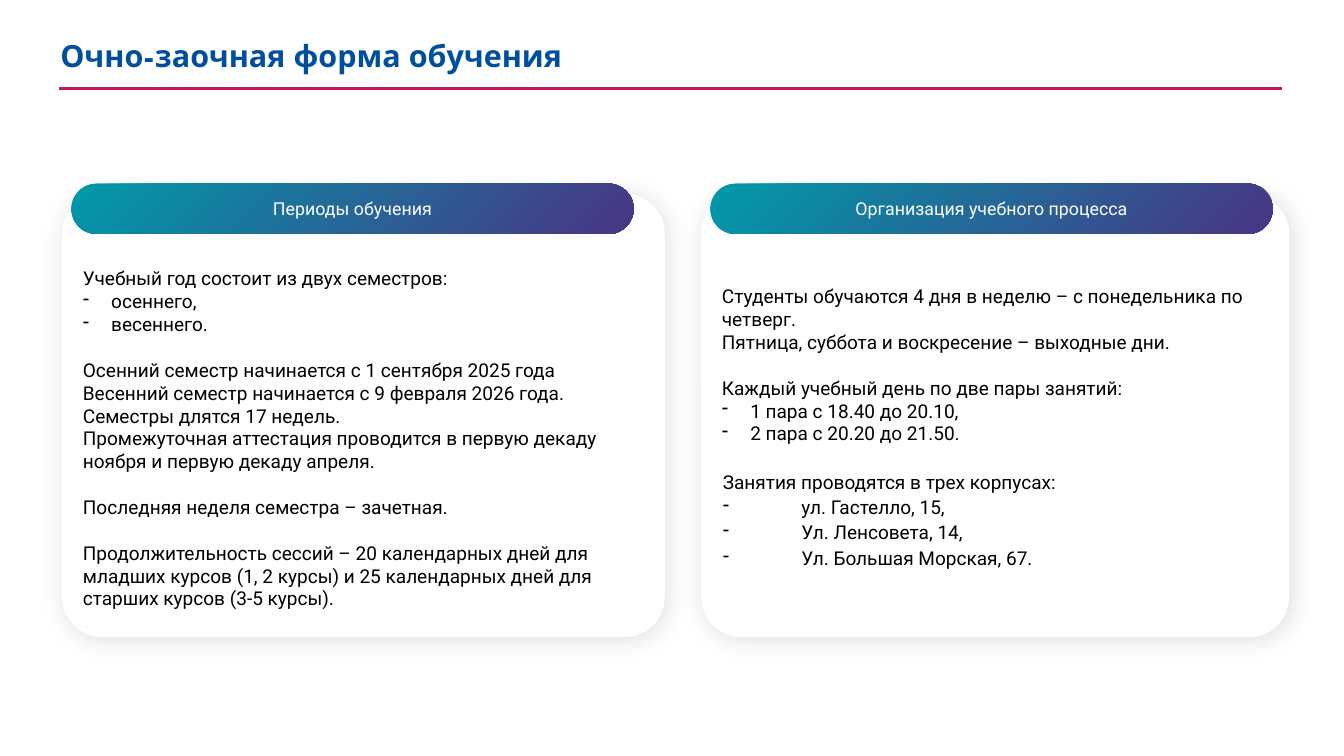
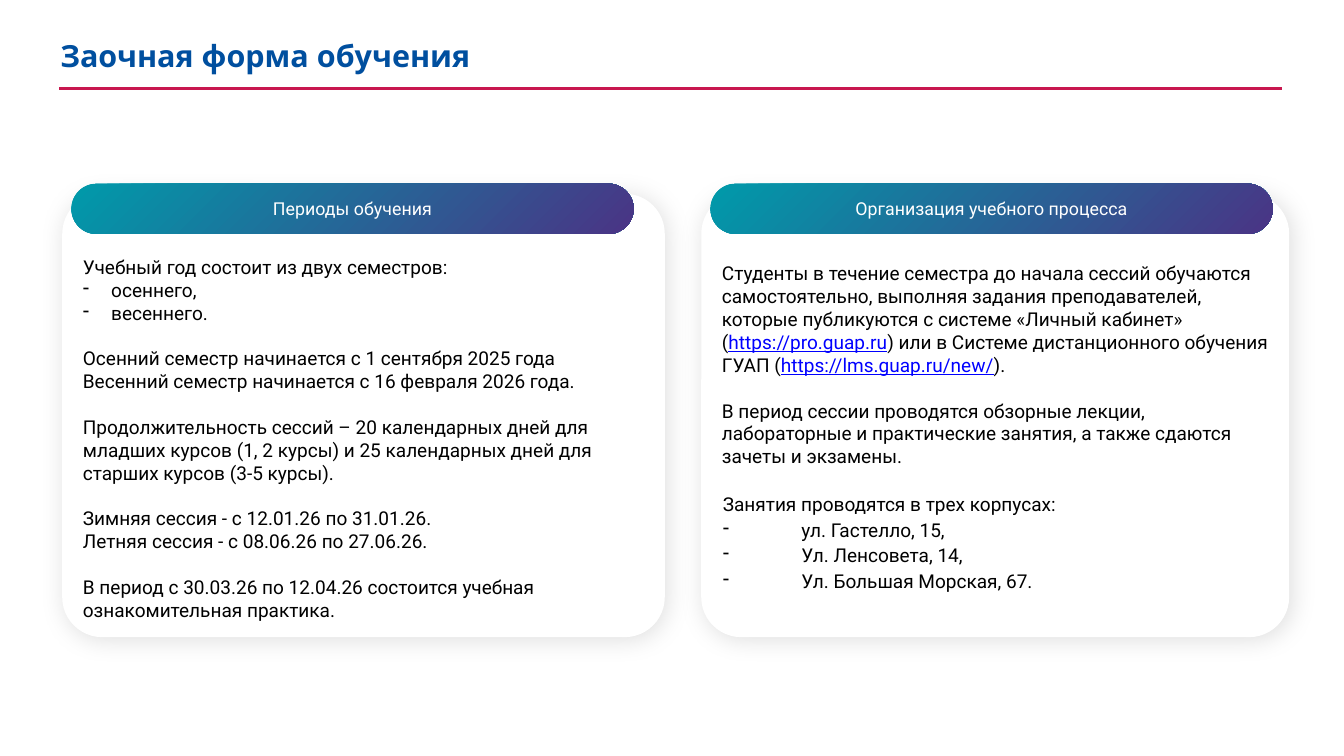
from typing import NamedTuple

from lxml import etree
from pptx import Presentation
from pptx.dml.color import RGBColor
from pptx.enum.shapes import MSO_CONNECTOR, MSO_SHAPE
from pptx.enum.text import MSO_ANCHOR, PP_ALIGN
from pptx.oxml.ns import qn
from pptx.util import Inches, Pt

ROUNDED = MSO_SHAPE.ROUNDED_RECTANGLE
STRAIGHT = MSO_CONNECTOR.STRAIGHT
MIDDLE = MSO_ANCHOR.MIDDLE
LEFT, CENTER = PP_ALIGN.LEFT, PP_ALIGN.CENTER

WIDTH, HEIGHT = Inches(14.7), Inches(8.27)
BLUE, RED, WHITE, BLACK = "004F9F", "C8174F", "FFFFFF", "000000"
PURPLE, TEAL, LINK = "4A3485", "009AAA", "0000FF"
TITLE_FONT, BODY_FONT = "League Spartan", "Roboto"
ROW = Pt(18)


class Box(NamedTuple):
    """A rectangle in slide units."""
    left: int
    top: int
    width: int
    height: int


class Line(NamedTuple):
    """A paragraph whose every second segment is a web address."""
    segments: tuple
    gap: bool = False
    hang: float = 0
    dash: bool = False
    airy: bool = False


def across(percent):
    """Return a share of the slide width."""
    return round(WIDTH * percent / 100)


def down(percent):
    """Return a share of the slide height."""
    return round(HEIGHT * percent / 100)


CARDS = (
    Box(across(4.63), down(25.63), across(44.83), down(58.65)),
    Box(across(52.18), down(25.63), across(43.74), down(58.65)),
)


def color(value):
    """Turn a hex string into a colour."""
    return RGBColor.from_string(value)


def text(content, gap=False):
    """Describe a plain paragraph."""
    return Line((content,), gap)


def dashed(content):
    """Describe a dashed list item."""
    return Line((content,), hang=0.31, dash=True)


def style_font(font, name, size, value, bold=False):
    """Set the face, size and colour of a font."""
    font.name, font.size, font.bold = name, Pt(size), bold
    font.color.rgb = color(value)


def add_panel(slide, box, rounding):
    """Add a rounded rectangle without line or shadow."""
    panel = slide.shapes.add_shape(ROUNDED, *box)
    panel.adjustments[0] = rounding
    panel.shadow.inherit = False
    panel.line.fill.background()
    panel.text_frame.word_wrap = True
    panel.text_frame.vertical_anchor = MIDDLE
    return panel


def add_soft_shadow(panel):
    """Give a panel a faint blurred shadow."""
    effects = panel._element.spPr.find(qn("a:effectLst"))
    shadow = etree.SubElement(effects, qn("a:outerShdw"), blurRad=str(Pt(20)),
                              dist=str(Pt(3)), dir="2700000", algn="tl", rotWithShape="0")
    tint = etree.SubElement(shadow, qn("a:srgbClr"), val=BLACK)
    etree.SubElement(tint, qn("a:alpha"), val="12000")


def fill_radial(panel, inner, outer):
    """Fill a panel with a gradient spreading from its lower right corner."""
    panel.fill.gradient()
    for stop, value in zip(panel.fill.gradient_stops, (inner, outer)):
        stop.color.rgb = color(value)
    gradient = panel._element.spPr.find(qn("a:gradFill"))
    gradient.remove(gradient.find(qn("a:lin")))
    spread = etree.SubElement(gradient, qn("a:path"), path="circle")
    etree.SubElement(spread, qn("a:fillToRect"), l="100000", t="100000")
    etree.SubElement(gradient, qn("a:tileRect"), r="-100000", b="-100000")


def add_title(slide, title):
    """Add the slide title and the rule below it."""
    heading = slide.shapes.add_textbox(across(4.42), down(4.72), across(76.12), down(5.08))
    frame = heading.text_frame
    frame.word_wrap = True
    frame.vertical_anchor = MIDDLE
    frame.margin_left = frame.margin_top = Inches(0.01)
    frame.margin_right = frame.margin_bottom = 0
    frame.text = title
    style_font(frame.paragraphs[0].font, TITLE_FONT, 24, BLUE, True)
    rule = slide.shapes.add_connector(STRAIGHT, across(4.42), down(11.73),
                                      across(95.37), down(11.73))
    rule.line.color.rgb = color(RED)
    rule.line.width = Pt(2)
    etree.SubElement(rule._element.spPr, qn("a:effectLst"))


def write_line(paragraph, line):
    """Write one body paragraph with its indent, spacing and addresses."""
    paragraph.alignment = LEFT
    properties = paragraph._p.get_or_add_pPr()
    properties.set("marL", str(Inches(line.hang)))
    if line.dash:
        properties.set("indent", str(Inches(0.01 if line.airy else 0) - Inches(line.hang)))
        etree.SubElement(properties, qn("a:buChar"), char="-")
    if line.airy:
        paragraph.line_spacing = Pt(18.9)
    before = (ROW if line.gap else 0) + (Pt(1.1) if line.airy else 0)
    if before:
        paragraph.space_before = before
    style_font(paragraph.font, BODY_FONT, 15, BLACK)
    for index, segment in enumerate(line.segments):
        run = paragraph.add_run()
        run.text = segment
        if index % 2:
            run.font.color.rgb = color(LINK)
            run.font.underline = True


def add_card(slide, box, heading, lines, lead):
    """Add a card with its heading pill, its text lowered by some rows."""
    card = add_panel(slide, box, 0.09)
    card.fill.solid()
    card.fill.fore_color.rgb = color(WHITE)
    add_soft_shadow(card)
    frame = card.text_frame
    frame.margin_top = Inches(0.05) + lead * ROW
    for index, line in enumerate(lines):
        write_line(frame.add_paragraph() if index else frame.paragraphs[0], line)

    pill = add_panel(slide, Box(box.left + across(0.68), box.top - down(1.33),
                                across(41.84), down(6.65)), 0.5)
    fill_radial(pill, PURPLE, TEAL)
    pill.text_frame.text = heading
    label = pill.text_frame.paragraphs[0]
    label.alignment = CENTER
    style_font(label.font, BODY_FONT, 14, WHITE)


def add_study_slide(deck, title, periods, process):
    """Add a slide on one form of study."""
    slide = deck.slides.add_slide(deck.slide_layouts[6])
    add_title(slide, title)
    add_card(slide, CARDS[0], "Периоды обучения", SEMESTERS + periods, 2)
    add_card(slide, CARDS[1], "Организация учебного процесса", process + PLACES, 1)


SEMESTERS = [
    text("Учебный год состоит из двух семестров:"),
    dashed("осеннего,"),
    dashed("весеннего."),
    text("Осенний семестр начинается с 1 сентября 2025 года", True),
]
SESSIONS = text("Продолжительность сессий – 20 календарных дней для младших курсов "
                "(1, 2 курсы) и 25 календарных дней для старших курсов (3-5 курсы).", True)
PLACES = [Line(("Занятия проводятся в трех корпусах:",), True, 0.01, airy=True)] + [
    Line((place,), hang=0.87, dash=True, airy=True)
    for place in ("ул. Гастелло, 15,", "Ул. Ленсовета, 14,", "Ул. Большая Морская, 67.")
]
EVENING_PERIODS = [
    text("Весенний семестр начинается с 9 февраля 2026 года."),
    text("Семестры длятся 17 недель."),
    text("Промежуточная аттестация проводится в первую декаду ноября "
         "и первую декаду апреля."),
    text("Последняя неделя семестра – зачетная.", True),
    SESSIONS,
]
EVENING_PROCESS = [
    text("Студенты обучаются 4 дня в неделю – с понедельника по четверг."),
    text("Пятница, суббота и воскресение – выходные дни."),
    text("Каждый учебный день по две пары занятий:", True),
    dashed("1 пара с 18.40 до 20.10,"),
    dashed("2 пара с 20.20 до 21.50."),
]
DISTANCE_PERIODS = [
    text("Весенний семестр начинается с 16 февраля 2026 года."),
    SESSIONS,
    text("Зимняя сессия - с 12.01.26 по 31.01.26.", True),
    text("Летняя сессия - с 08.06.26 по 27.06.26."),
    text("В период с 30.03.26 по 12.04.26 состоится учебная "
         "ознакомительная практика.", True),
]
DISTANCE_PROCESS = [
    Line(("Студенты в течение семестра до начала сессий обучаются самостоятельно, "
          "выполняя задания преподавателей, которые публикуются с системе "
          "«Личный кабинет» (", "https://pro.guap.ru",
          ") или в Системе дистанционного обучения ГУАП (",
          "https://lms.guap.ru/new/", ").")),
    text("В период сессии проводятся обзорные лекции, лабораторные и практические "
         "занятия, а также сдаются зачеты и экзамены.", True),
]


def main():
    """Build and save the presentation."""
    deck = Presentation()
    deck.slide_width, deck.slide_height = WIDTH, HEIGHT
    add_study_slide(deck, "Очно-заочная форма обучения", EVENING_PERIODS, EVENING_PROCESS)
    add_study_slide(deck, "Заочная форма обучения", DISTANCE_PERIODS, DISTANCE_PROCESS)
    deck.save("out.pptx")


if __name__ == "__main__":
    main()
